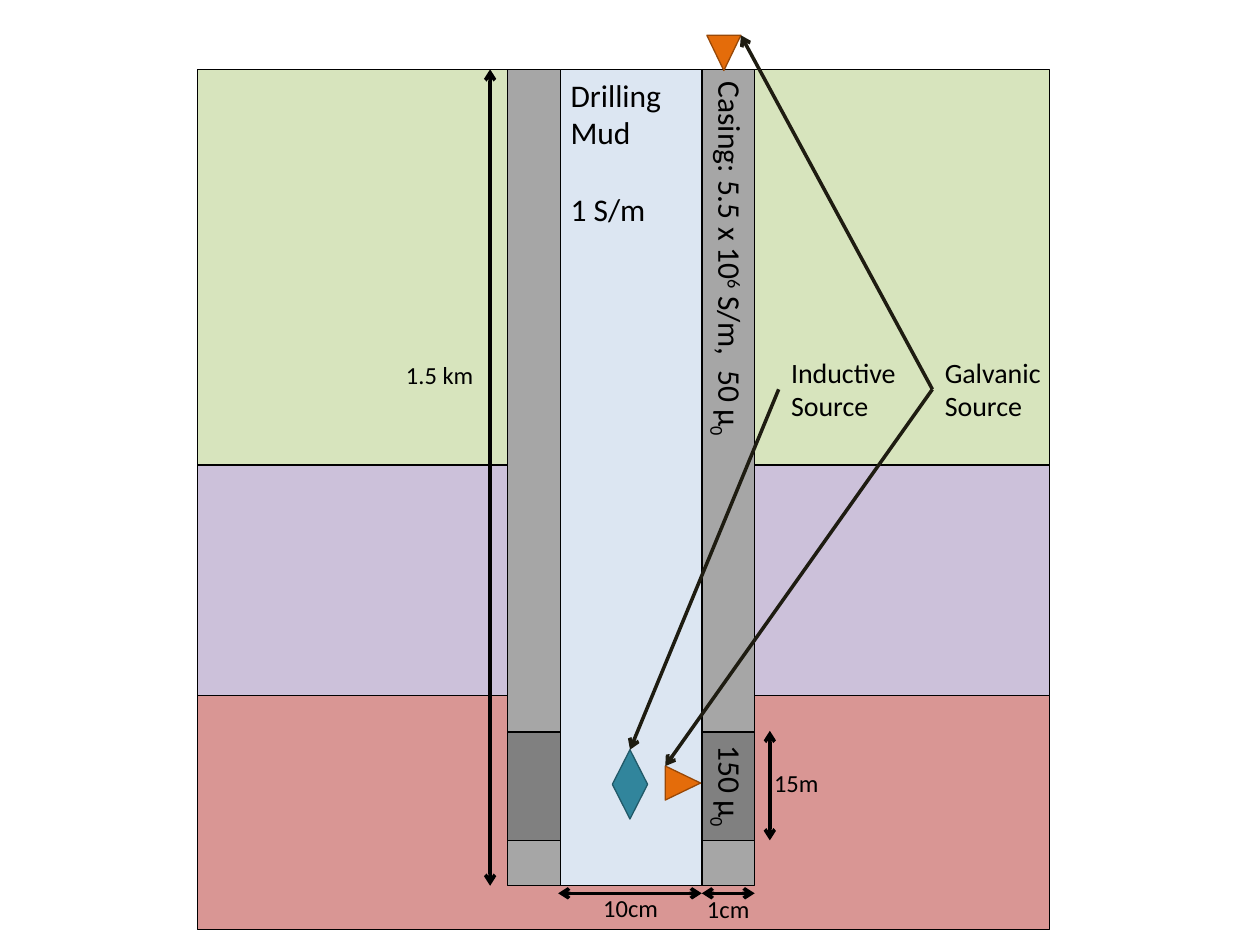
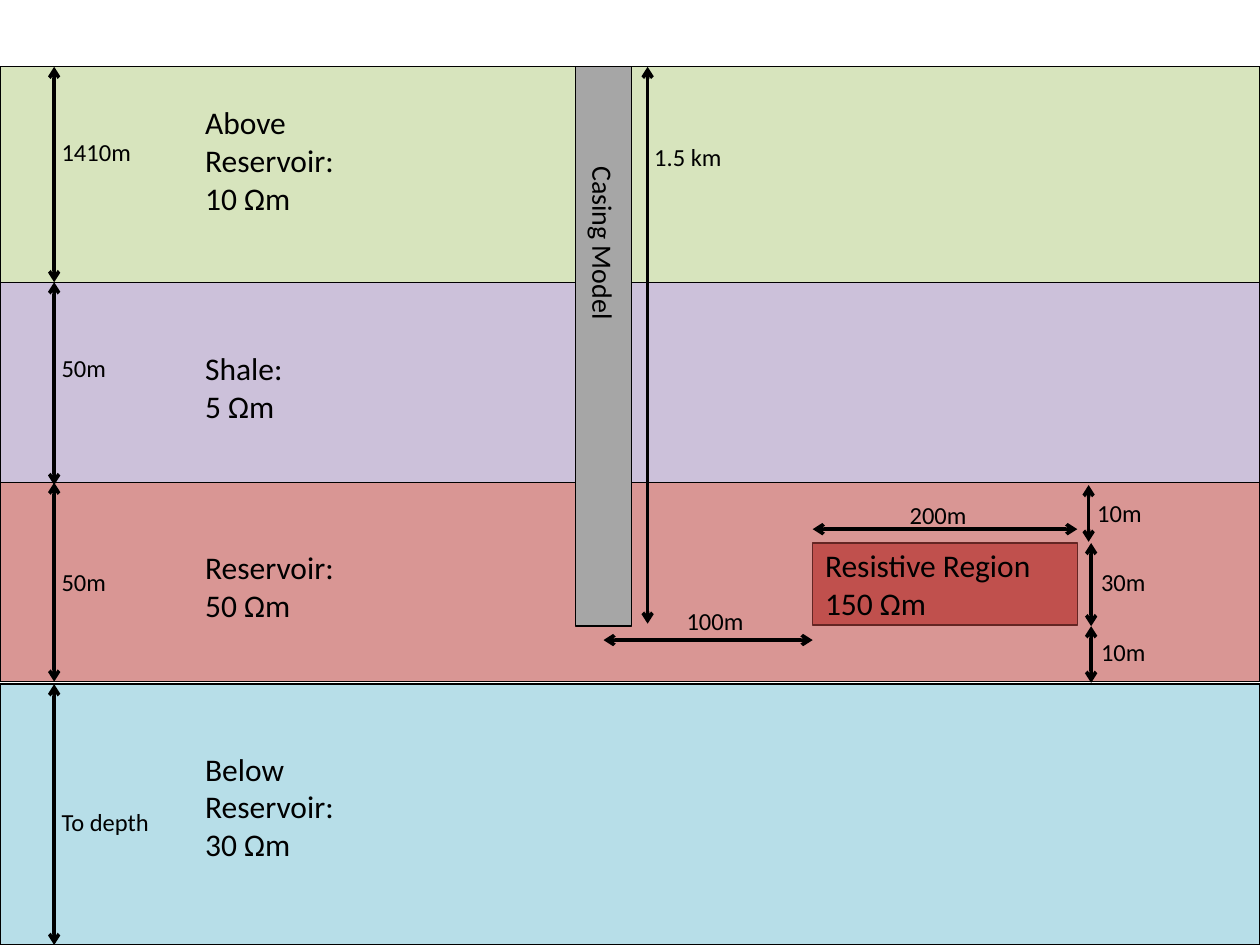
from lxml import etree
from pptx import Presentation
from pptx.dml.color import RGBColor
from pptx.enum.shapes import MSO_CONNECTOR, MSO_SHAPE
from pptx.enum.text import MSO_ANCHOR, MSO_AUTO_SIZE, PP_ALIGN
from pptx.oxml.ns import qn
from pptx.util import Inches, Pt

RECT = MSO_SHAPE.RECTANGLE
WEDGE = MSO_SHAPE.ISOSCELES_TRIANGLE
GEM = MSO_SHAPE.DIAMOND
LINE = MSO_CONNECTOR.STRAIGHT
LEFT, MID = PP_ALIGN.LEFT, PP_ALIGN.CENTER
TOP, MIDDLE = MSO_ANCHOR.TOP, MSO_ANCHOR.MIDDLE
GROW = MSO_AUTO_SIZE.SHAPE_TO_FIT_TEXT

FONT = "Calibri"
INK = {
    "black": "000000", "above": "D7E4BD", "shale": "CCC1DA",
    "pay": "D99694", "below": "B7DEE8", "mud": "DCE6F2",
    "steel": "A6A6A6", "dark": "808080", "orange": "E46C0A",
    "rust": "984807", "teal": "31859C", "pine": "215968",
    "brick": "C0504D", "wine": "632523", "soot": "1E1C11",
}


def ink(name):
    return RGBColor.from_string(INK[name])


def inches(*sizes):
    return [Inches(size) for size in sizes]


def shift(box, x, y, w, h):
    return box[0] + x, box[1] + y, w, h


def write(shape, paras, size, align=LEFT, anchor=TOP, gap=0):
    frame = shape.text_frame
    frame.word_wrap = True
    frame.vertical_anchor = anchor
    for i, runs in enumerate(paras):
        para = frame.paragraphs[0] if i == 0 else frame.add_paragraph()
        para.alignment = align
        if i:
            para.space_before = Pt(gap)
        for text, base in runs:
            run = para.add_run()
            run.text = text
            run.font.name = FONT
            run.font.size = Pt(size)
            run.font.color.rgb = ink("black")
            if base:
                run._r.get_or_add_rPr().set("baseline", str(base * 1000))


def plain(*lines):
    return [[(line, 0)] for line in lines]


def block(slide, box, fill, kind=RECT, edge="black", turn=0):
    x, y, w, h = box
    if turn == 90:
        x, y, w, h = x + (w - h) / 2, y + (h - w) / 2, h, w
    shape = slide.shapes.add_shape(kind, *inches(x, y, w, h))
    shape.rotation = turn
    shape.shadow.inherit = False
    shape.fill.solid()
    shape.fill.fore_color.rgb = ink(fill)
    shape.line.color.rgb = ink(edge)
    shape.line.width = Pt(0.75)
    return shape


def label(slide, box, lines, size=14, align=MID):
    shape = slide.shapes.add_textbox(*inches(*box))
    write(shape, plain(*lines), size, align)
    shape.text_frame.auto_size = GROW
    return shape


def arrow(slide, start, end, color="black", both=True):
    link = slide.shapes.add_connector(LINE, *inches(*start, *end))
    link.line.color.rgb = ink(color)
    link.line.width = Pt(2)
    props = link.element.spPr
    line = props.find(qn("a:ln"))
    for tag in ["a:headEnd", "a:tailEnd"] if both else ["a:tailEnd"]:
        etree.SubElement(line, qn(tag)).set("type", "arrow")
    etree.SubElement(props, qn("a:effectLst"))
    return link


def gauge(slide, start, end, box, text):
    arrow(slide, start, end)
    label(slide, box, [text])


def ground(slide, box):
    x, y, w, h = box
    tops = [0, 3.14, 4.97, h]
    for fill, top, base in zip(["above", "shale", "pay"], tops, tops[1:]):
        block(slide, (x, y + top, w, base - top), fill)


def well(slide, box):
    x, y, w, h = box
    wall, bore = 0.42, w - 0.84
    mud = block(slide, (x + wall - 0.02, y, bore + 0.02, h), "mud")
    write(mud, plain("Drilling Mud", "1 S/m"), 18, gap=22)
    casing = [("Casing: 5.5 x 10", 0), ("6", 30), (" S/m,  50 μ", 0), ("0", -25)]
    collar = [("150 μ", 0), ("0", -25)]
    for side, marked in [(x, False), (x + w - wall, True)]:
        pipe = block(slide, (side, y, wall, h), "steel", turn=90)
        joint = block(slide, (side, y + 5.26, wall, 0.86), "dark", turn=90)
        if marked:
            write(pipe, [casing], 18, anchor=MIDDLE)
            write(joint, [collar], 18, MID, MIDDLE)
    right, foot = x + w, y + h + 0.06
    gauge(slide, (x - 0.14, y), (x - 0.14, y + h),
          shift(box, -0.96, 2.26, 0.84, 0.34), "1.5 km")
    gauge(slide, (x + wall - 0.02, foot), (right - wall, foot),
          shift(box, 0.54, 6.49, 0.87, 0.34), "10cm")
    gauge(slide, (right - wall, foot), (right, foot),
          shift(box, 1.45, 6.5, 0.6, 0.34), "1cm")
    gauge(slide, (right + 0.12, y + 5.25), (right + 0.12, y + 6.12),
          shift(box, 1.87, 5.5, 0.84, 0.34), "15m")


def sources(slide, box):
    x, y = box[:2]
    gem = block(slide, shift(box, 0, 5.67, 0.28, 0.55), "teal", GEM, "pine")
    block(slide, shift(box, 0.42, 5.8, 0.28, 0.27), "orange", WEDGE, "rust", 90)
    block(slide, shift(box, 0.75, 0, 0.27, 0.28), "orange", WEDGE, "rust", 180)
    coil = label(slide, shift(box, 1.32, 2.49, 1.14, 0.64),
                 ["Inductive Source"], 16, LEFT)
    pole = label(slide, shift(box, 2.54, 2.49, 1.18, 0.64),
                 ["Galvanic Source"], 16, LEFT)
    aims = [(coil, 1.32, 0.14, 5.67), (pole, 2.54, 0.42, 5.8), (pole, 2.54, 1.02, 0)]
    for name, start, end, drop in aims:
        link = arrow(slide, (x + start, y + 2.81), (x + end, y + drop), "soot", False)
        link.begin_connect(name, 1)
        if name is coil:
            link.end_connect(gem, 0)


def strata(slide, box):
    x, y, w, h = box
    beds = [
        ("above", 0, 1.71, ["Above Reservoir:", "10 Ωm"], 0.24, "1410m", 0.51),
        ("shale", 1.71, 1.61, ["Shale:", "5 Ωm"], 0.48, "50m", 0.51),
        ("pay", 3.3, 1.58, ["Reservoir:", "50 Ωm"], 0.47, "50m", 0.62),
        ("below", 4.9, h - 4.9, ["Below Reservoir:", "30 Ωm"], 0.47, "To depth", 0.93),
    ]
    for fill, top, tall, *_ in beds:
        block(slide, (x, y + top, w, tall), fill)
    for _, top, tall, lines, drop, depth, fall in beds:
        high = 1.01 if len(lines[0]) > 10 else 0.71
        label(slide, shift(box, 1.53, top + drop, 1.36, high), lines, 18, LEFT)
        arrow(slide, (x + 0.43, y + top), (x + 0.43, y + top + tall))
        label(slide, shift(box, 0.39, top + fall, 1.15, 0.34), [depth], 14, LEFT)


def casing(slide, box):
    x, y, w, h = box
    pipe = block(slide, box, "steel", turn=90)
    write(pipe, plain("Casing Model"), 16, anchor=MIDDLE)
    pipe.text_frame.margin_left = Inches(0.79)
    gauge(slide, (x + w + 0.13, y), (x + w + 0.13, y + h - 0.02),
          shift(box, 0.42, 0.55, 0.94, 0.34), "1.5 km")
    gauge(slide, (x + w / 2, y + h + 0.11), (x + 1.88, y + h + 0.11),
          shift(box, 0.78, 4.23, 0.65, 0.34), "100m")


def target(slide, box):
    x, y, w, h = box
    zone = block(slide, box, "brick", edge="wine")
    write(zone, plain("Resistive Region", "150 Ωm"), 18, anchor=MIDDLE)
    gauge(slide, (x, y - 0.11), (x + w, y - 0.11),
          shift(box, 0.67, -0.39, 0.65, 0.34), "200m")
    marks = [
        (0.09, -0.46, -0.01, 2.11, -0.41, "10m"),
        (0.11, 0, 0.66, 2.14, 0.14, "30m"),
        (0.11, 0.66, 1.11, 2.14, 0.7, "10m"),
    ]
    for gap, top, base, left, drop, text in marks:
        side = x + w + gap
        gauge(slide, (side, y + top), (side, y + base),
              shift(box, left, drop, 0.65, 0.34), text)


def main():
    deck = Presentation()
    deck.slide_width, deck.slide_height = inches(10, 7.5)
    blank = deck.slide_layouts[6]

    slide = deck.slides.add_slide(blank)
    ground(slide, (1.57, 0.55, 6.76, 6.83))
    well(slide, (4.03, 0.55, 1.96, 6.48))
    sources(slide, (4.86, 0.28, 3.72, 6.22))

    slide = deck.slides.add_slide(blank)
    strata(slide, (0, 0.53, 10, 6.97))
    casing(slide, (4.57, 0.53, 0.44, 4.44))
    target(slide, (6.45, 4.31, 2.1, 0.65))

    deck.save("out.pptx")


if __name__ == "__main__":
    main()
